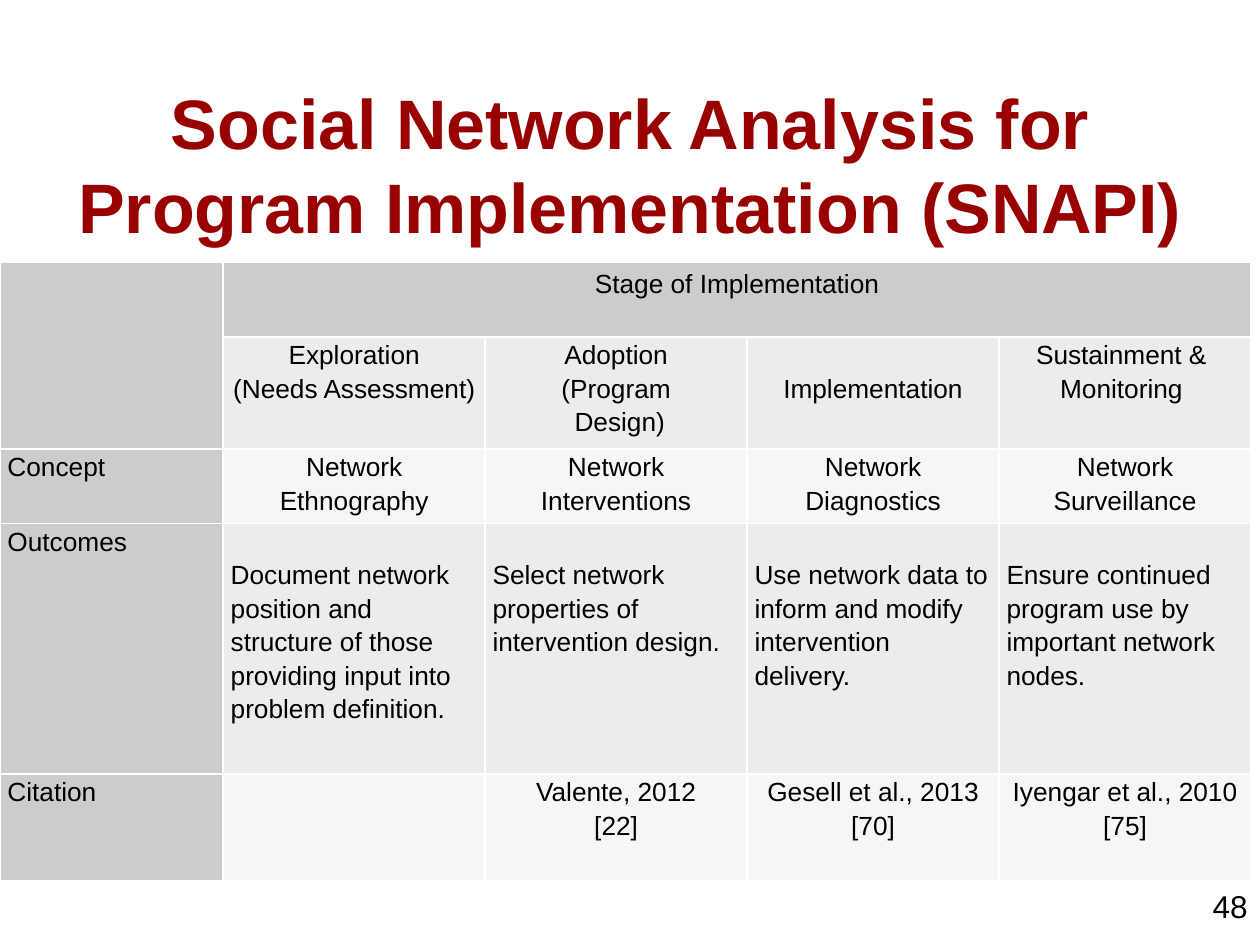
from dataclasses import dataclass

from lxml.etree import SubElement
from pptx import Presentation
from pptx.dml.color import RGBColor
from pptx.enum.text import MSO_ANCHOR, MSO_AUTO_SIZE, PP_ALIGN
from pptx.oxml.ns import qn
from pptx.util import Cm, Pt

COLORS = {
    "title": "990000",
    "text": "000000",
    "header": "CCCCCC",
    "band": "ECECEC",
    "light": "F6F6F6",
    "border": "FFFFFF",
}
COL_WIDTHS = (4.5, 5.28, 5.28, 5.08, 5.08)
ROW_HEIGHTS = (1.5, 2.26, 1.5, 5.05, 2.16)
LINE = 0.67  # height of one table text line, cm


@dataclass
class Entry:
    lines: tuple[str, ...] = ()
    align: PP_ALIGN = PP_ALIGN.CENTER
    top: float = 0


@dataclass
class Row:
    label: str
    fill: str
    entries: list[Entry]


def outcome(text: str) -> Entry:
    return Entry((text,), PP_ALIGN.LEFT, LINE)


ROWS = [
    Row("", "header", [Entry(("Stage of Implementation",), top=0.07)] + [Entry()] * 3),
    Row("", "band", [
        Entry(("Exploration", "(Needs Assessment)")),
        Entry(("Adoption", "(Program", " Design)")),
        Entry(("Implementation",), top=LINE),
        Entry(("Sustainment & ", "Monitoring ")),
    ]),
    Row("Concept", "light", [
        Entry(("Network Ethnography",)),
        Entry(("Network", "Interventions")),
        Entry(("Network", "Diagnostics")),
        Entry(("Network", "Surveillance")),
    ]),
    Row("Outcomes", "band", [
        outcome("Document network position and structure of those "
                "providing input into problem definition."),
        outcome("Select network properties of intervention design."),
        outcome("Use network data to inform and modify intervention delivery."),
        outcome("Ensure continued program use by important network nodes."),
    ]),
    Row("Citation", "light", [
        Entry(),
        Entry(("Valente, 2012", "[22]")),
        Entry(("Gesell et al., 2013 [70]",)),
        Entry(("Iyengar et al., 2010 [75]",)),
    ]),
]


def set_attrs(obj, values: dict) -> None:
    for name, value in values.items():
        setattr(obj, name, value)


def add_text(p, text: str, size: float, color: str, bold: bool = False) -> None:
    r = p.add_run()
    r.text = text
    set_attrs(r.font, {"name": "Arial", "size": Pt(size), "bold": bold})
    r.font.color.rgb = RGBColor.from_string(COLORS[color])


def add_borders(cell) -> None:
    tc_pr = cell._tc.get_or_add_tcPr()
    for side in ("lnL", "lnR", "lnT", "lnB"):
        ln = SubElement(tc_pr, qn(f"a:{side}"), w=str(Pt(1)))
        fill = SubElement(ln, qn("a:solidFill"))
        SubElement(fill, qn("a:srgbClr"), val=COLORS["border"])


def fill_cell(cell, entry: Entry, color: str) -> None:
    add_borders(cell)
    cell.fill.solid()
    cell.fill.fore_color.rgb = RGBColor.from_string(COLORS[color])
    set_attrs(cell, {
        "margin_left": Cm(0.15), "margin_right": Cm(0.15),
        "margin_top": Cm(entry.top), "margin_bottom": 0,
        "vertical_anchor": MSO_ANCHOR.TOP,
    })
    tf = cell.text_frame
    for i, line in enumerate(entry.lines):
        p = tf.paragraphs[0] if i == 0 else tf.add_paragraph()
        set_attrs(p, {"alignment": entry.align, "line_spacing": 1.15})
        add_text(p, line, 15, "text")


def add_stage_table(s) -> None:
    frame = s.shapes.add_table(len(ROWS), len(COL_WIDTHS), 0, Cm(5.29),
                               Cm(sum(COL_WIDTHS)), Cm(sum(ROW_HEIGHTS)))
    table = frame.table
    set_attrs(table, {"first_row": False, "horz_banding": False})
    for col, width in zip(table.columns, COL_WIDTHS):
        col.width = Cm(width)
    for row, height in zip(table.rows, ROW_HEIGHTS):
        row.height = Cm(height)
    for i, row in enumerate(ROWS):
        label = Entry((row.label,) if row.label else (), PP_ALIGN.LEFT)
        fill_cell(table.cell(i, 0), label, "header")
        for j, entry in enumerate(row.entries, 1):
            fill_cell(table.cell(i, j), entry, row.fill)
    table.cell(0, 0).merge(table.cell(1, 0))
    table.cell(0, 1).merge(table.cell(0, 4))


def main() -> None:
    prs = Presentation()
    set_attrs(prs, {"slide_width": Cm(25.4), "slide_height": Cm(19.05)})
    s = prs.slides.add_slide(prs.slide_layouts[5])

    # Title
    title = s.shapes.title
    set_attrs(title, {"left": Cm(1.27), "top": Cm(1.7),
                      "width": Cm(22.86), "height": Cm(3.18)})
    tf = title.text_frame
    set_attrs(tf, {"word_wrap": True, "auto_size": MSO_AUTO_SIZE.NONE,
                   "vertical_anchor": MSO_ANCHOR.MIDDLE})
    p = tf.paragraphs[0]
    p.alignment = PP_ALIGN.CENTER
    add_text(p, "Social Network Analysis for Program Implementation (SNAPI)",
             40, "title", bold=True)

    # Stages of implementation
    add_stage_table(s)

    # Page number
    sp = s.shapes.add_textbox(Cm(23.3), Cm(17.75), Cm(2.1), Cm(0.9))
    tf = sp.text_frame
    tf.word_wrap = True
    p = tf.paragraphs[0]
    p.alignment = PP_ALIGN.RIGHT
    add_text(p, "48", 18, "text")

    prs.save("out.pptx")


if __name__ == "__main__":
    main()
